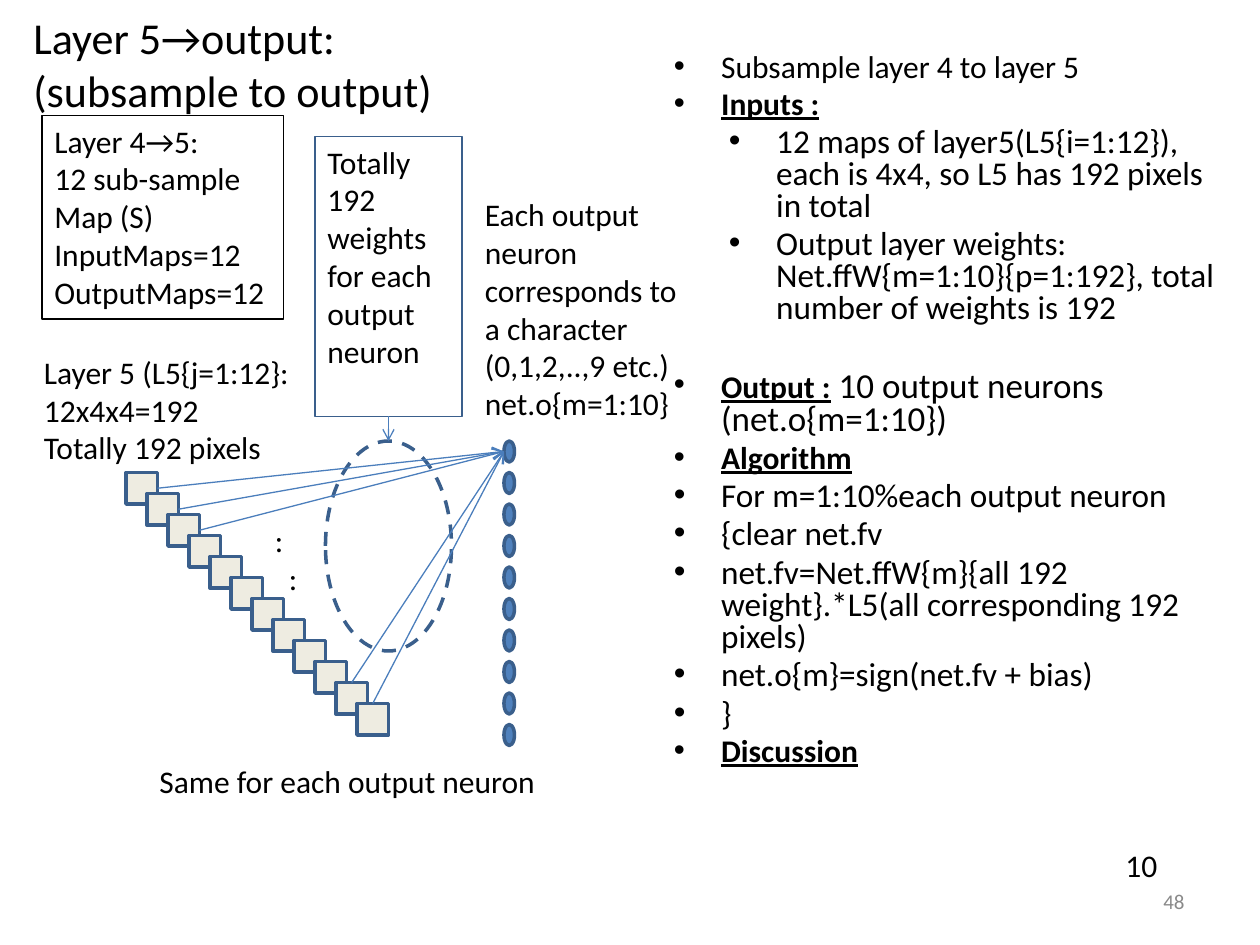
"""Build the slide on the last network layer: subsampled maps to output neurons."""
import pptx
import pptx.util
import pptx.dml.color
import pptx.enum.dml
import pptx.enum.shapes
import pptx.enum.text
import pptx.oxml
import pptx.oxml.ns
from lxml import etree

Pt = pptx.util.Pt
RGBColor = pptx.dml.color.RGBColor
SHAPE = pptx.enum.shapes.MSO_SHAPE
ALIGN = pptx.enum.text.PP_ALIGN
ANCHOR = pptx.enum.text.MSO_ANCHOR
qn = pptx.oxml.ns.qn

BLACK = RGBColor(0x00, 0x00, 0x00)
GREY = RGBColor(0x89, 0x89, 0x89)
CREAM = RGBColor(0xEE, 0xEC, 0xE1)
BLUE = RGBColor(0x4F, 0x81, 0xBD)
OUTLINE = RGBColor(0x3A, 0x5F, 0x8C)
ARROW = RGBColor(0x4B, 0x7E, 0xBC)

presentation = pptx.Presentation()
presentation.slide_width, presentation.slide_height = Pt(720), Pt(540)
slide = presentation.slides.add_slide(presentation.slide_layouts[6])


def add_run(paragraph, text, size=18, color=BLACK, heading=False):
    run = paragraph.add_run()
    run.text = text
    run.font.name = "Calibri"
    run.font.size = Pt(size)
    run.font.color.rgb = color
    if heading:
        run.font.bold = run.font.underline = True


def add_label(left, top, width, height, lines, wrap=True, size=18, color=BLACK):
    label = slide.shapes.add_textbox(Pt(left), Pt(top), Pt(width), Pt(height))
    frame = label.text_frame
    frame.word_wrap = wrap
    for i, line in enumerate(lines):
        paragraph = frame.paragraphs[0] if i == 0 else frame.add_paragraph()
        add_run(paragraph, line, size, color)
    return label


title = slide.shapes.add_textbox(Pt(12), Pt(6), Pt(648), Pt(90)).text_frame
title.word_wrap = True
title.margin_top = 0
add_run(title.paragraphs[0], "Layer 5→output:", 25.2)
title.paragraphs[0].add_line_break()
add_run(title.paragraphs[0], "(subsample to output)", 25.2)

slide_number = add_label(516, 500.4, 168, 28.8, ["48"], size=12, color=GREY).text_frame
slide_number.vertical_anchor = ANCHOR.MIDDLE
slide_number.paragraphs[0].alignment = ALIGN.RIGHT

sub_maps = []
for i in range(12):
    sub_map = slide.shapes.add_shape(SHAPE.RECTANGLE, Pt(72 + 12 * i), Pt(270 + 12 * i), Pt(18), Pt(18))
    sub_map.fill.solid()
    sub_map.fill.fore_color.rgb = CREAM
    sub_maps.append(sub_map)

neurons = []
for i in range(10):
    neuron = slide.shapes.add_shape(SHAPE.OVAL, Pt(288), Pt(252 + 18 * i), Pt(6), Pt(12))
    neuron.fill.solid()
    neuron.fill.fore_color.rgb = BLUE
    neurons.append(neuron)

add_label(270, 108, 132, 138, ["Each output neuron corresponds to a character (0,1,2,..,9 etc.)", "net.o{m=1:10}"])
layer_4_box = add_label(24, 66, 138, 116.4, [
    "Layer 4→5:", "12 sub-sample", "Map (S)", "InputMaps=12", "OutputMaps=12"])
layer_4_box.line.color.rgb = BLACK
layer_4_box.line.width = Pt(0.75)
add_label(18, 198, 156, 72.7, ["Layer 5 (L5{j=1:12}:", "12x4x4=192", "Totally 192 pixels"], wrap=False)
add_label(636, 480, 33, 29, ["10"], wrap=False)

# level, space before, runs of (text, size, heading)
steps = [
    (0, 0, [("Subsample layer 4 to layer 5", 18, False)]),
    (0, 3.6, [("Inputs :", 18, True)]),
    (1, 3.8, [("12 maps of layer5(L5{i=1:12}), each is 4x4, so L5 has 192 pixels in total", 19, False)]),
    (1, 3.8, [("Output layer weights: Net.ffW{m=1:10}{p=1:192}, total number of weights is 192", 19, False)]),
    (0, 26, [("Output :", 18, True), (" 10 output neurons (net.o{m=1:10})", 20, False)]),
    (0, 3.6, [("Algorithm", 18, True)]),
    (0, 3.8, [("For m=1:10%each output neuron", 19, False)]),
    (0, 3.8, [("{clear net.fv", 19, False)]),
    (0, 3.8, [("net.fv=Net.ffW{m}{all 192 weight}.*L5(all corresponding 192 pixels)", 19, False)]),
    (0, 3.8, [("net.o{m}=sign(net.fv + bias)", 19, False)]),
    (0, 3.8, [("}", 19, False)]),
    (0, 3.6, [("Discussion", 18, True)]),
]
algorithm = slide.shapes.add_textbox(Pt(378), Pt(6), Pt(324), Pt(528)).text_frame
algorithm.word_wrap = True
algorithm.margin_top = Pt(25)
for i, (level, space_before, runs) in enumerate(steps):
    step = algorithm.paragraphs[0] if i == 0 else algorithm.add_paragraph()
    step.level = level
    step.line_spacing = 0.8
    step.space_before = Pt(space_before)
    properties = step._p.get_or_add_pPr()
    properties.set("marL", str(Pt((27, 58.5)[level])))
    properties.set("indent", str(Pt(-27)))
    etree.SubElement(properties, qn("a:buFont")).set("typeface", "Arial")
    etree.SubElement(properties, qn("a:buChar")).set("char", "•")
    for text, size, heading in runs:
        add_run(step, text, size, heading=heading)

dots = add_label(150, 294, 28, 51, [":", ":"], wrap=False)
dots.text_frame.paragraphs[1]._p.get_or_add_pPr().set("marL", str(Pt(8)))

weights_ring = slide.shapes.add_shape(SHAPE.OVAL, Pt(186), Pt(252), Pt(72), Pt(120))
weights_ring.fill.background()
for outlined in [*sub_maps, *neurons, weights_ring]:
    outlined.shadow.inherit = False
    outlined.line.color.rgb = OUTLINE
    outlined.line.width = Pt(2)
weights_ring.line.dash_style = pptx.enum.dml.MSO_LINE.DASH

weights_box = add_label(180, 78, 84, 160, ["Totally", "192 weights for each output neuron"])
weights_box.line.color.rgb = OUTLINE
weights_box.line.width = Pt(0.75)
add_label(84, 432, 232, 29, ["Same for each output neuron"], wrap=False)

# source, its connection site, end point
links = [(sub_maps[i], 3, 288, 258) for i in range(3)]
links += [(sub_maps[i], 0, 288, 258) for i in (11, 10)]
links.append((weights_box, 2, 222, 252))
for source, site, end_x, end_y in links:
    link = slide.shapes.add_connector(
        pptx.enum.shapes.MSO_CONNECTOR.STRAIGHT, source.left, source.top, Pt(end_x), Pt(end_y))
    link.begin_connect(source, site)
    link.line.color.rgb = ARROW
    link.line.width = Pt(0.75)
    etree.SubElement(link.line._get_or_add_ln(), qn("a:tailEnd")).set("type", "arrow")
    etree.SubElement(link._element.spPr, qn("a:effectLst"))

presentation.save("out.pptx")
